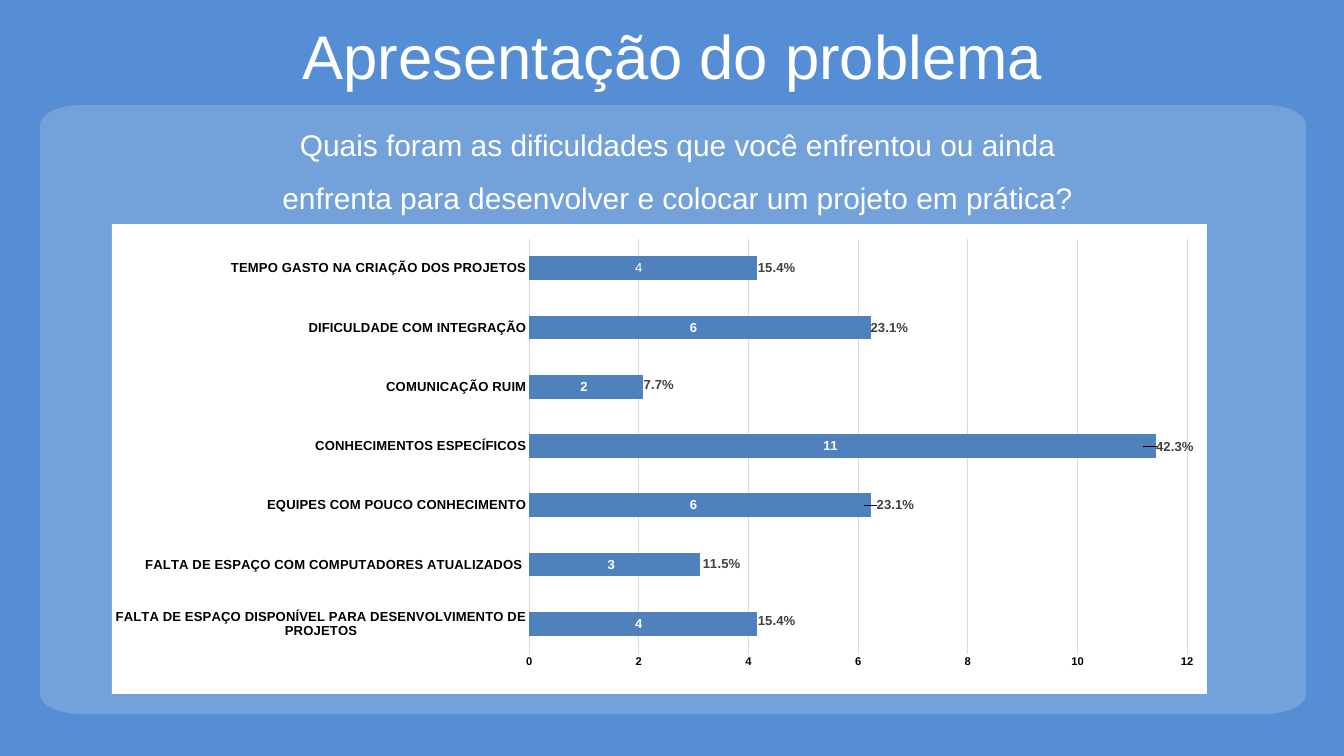
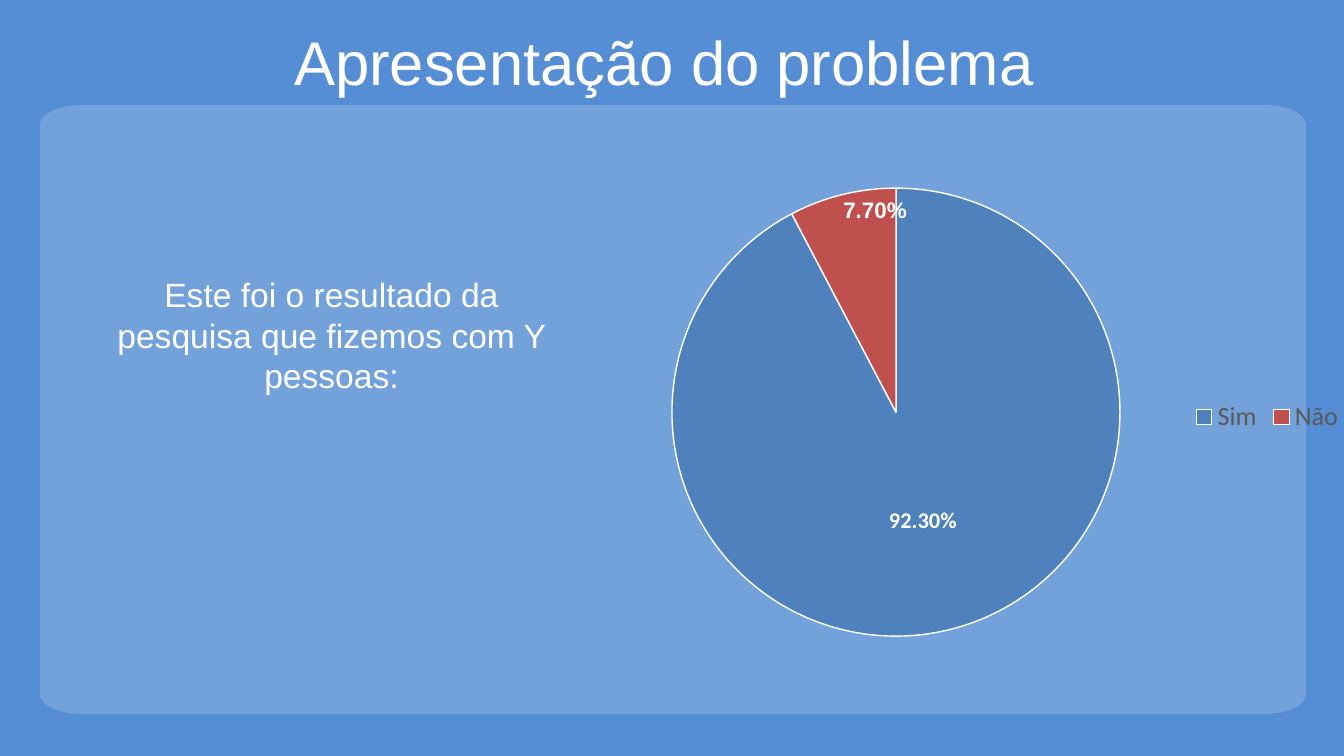
from math import cos, pi, sin

from lxml import etree
from pptx import Presentation
from pptx.chart.data import CategoryChartData
from pptx.dml.color import RGBColor
from pptx.enum.chart import (XL_CHART_TYPE, XL_LABEL_POSITION,
                             XL_LEGEND_POSITION, XL_TICK_MARK)
from pptx.enum.text import MSO_ANCHOR, PP_ALIGN
from pptx.oxml import parse_xml
from pptx.oxml.ns import nsdecls, qn
from pptx.util import Pt

PX = 914400 / 67.2
WIDE, HIGH = 1344, 756

BACK = RGBColor(0x55, 0x8E, 0xD5)
PANEL = RGBColor(0xB9, 0xCD, 0xE5)
WHITE = RGBColor(0xFF, 0xFF, 0xFF)
BLACK = RGBColor(0, 0, 0)
BLUE = RGBColor(0x4F, 0x81, 0xBD)
RED = RGBColor(0xC0, 0x50, 0x4D)
GRID = RGBColor(0xD9, 0xD9, 0xD9)
DARK = RGBColor(0x40, 0x40, 0x40)
GREY = RGBColor(0x59, 0x59, 0x59)

BAR = XL_CHART_TYPE.BAR_STACKED
PIE = XL_CHART_TYPE.PIE
MIDDLE = XL_LABEL_POSITION.CENTER
EDGE = XL_LABEL_POSITION.INSIDE_END
BOTTOM = XL_LEGEND_POSITION.BOTTOM
NO_TICK = XL_TICK_MARK.NONE
CENTER = PP_ALIGN.CENTER
TOP = MSO_ANCHOR.TOP

TITLE = "Apresentação do problema"
# category, answers, share, shift of the share label in px
HURDLES = [
    ("FALTA DE ESPAÇO DISPONÍVEL PARA DESENVOLVIMENTO DE PROJETOS", 4, 0.154, (24, -3)),
    ("FALTA DE ESPAÇO COM COMPUTADORES ATUALIZADOS ", 3, 0.115, (25, -1)),
    ("EQUIPES COM POUCO CONHECIMENTO", 6, 0.231, (31, 0)),
    ("CONHECIMENTOS ESPECÍFICOS", 11, 0.423, (31, 1)),
    ("COMUNICAÇÃO RUIM", 2, 0.077, (18, -2)),
    ("DIFICULDADE COM INTEGRAÇÃO", 6, 0.231, (25, 0)),
    ("TEMPO GASTO NA CRIAÇÃO DOS PROJETOS", 4, 0.154, (24, 0)),
]


def px(*lengths):
    return [round(n * PX) for n in lengths]


def style(font, size, color, bold=False, name="Arial"):
    font.name, font.size, font.bold = name, Pt(size), bold
    font.color.rgb = color


def add_panel(slide):
    """Translucent panel whose corners are flat quarter ellipses."""
    left, top, right, bottom = 40, 105, 1306, 714
    rx, ry, steps = 41, 20, 12
    hubs = [(right - rx, bottom - ry), (left + rx, bottom - ry),
            (left + rx, top + ry), (right - rx, top + ry)]
    points = []
    for turn, (x, y) in enumerate(hubs):
        for step in range(steps + 1):
            angle = (turn + step / steps) * pi / 2
            points.append(px(x + rx * cos(angle), y + ry * sin(angle)))
    outline = slide.shapes.build_freeform(*points[0])
    outline.add_line_segments(points[1:], close=True)
    panel = outline.convert_to_shape()
    panel.shadow.inherit = False
    panel.line.fill.background()
    panel.fill.solid()
    panel.fill.fore_color.rgb = PANEL
    tint = panel.fill._xPr.find(".//" + qn("a:srgbClr"))
    etree.SubElement(tint, qn("a:alpha")).set("val", "30000")


def add_slide(prs, box):
    slide = prs.slides.add_slide(prs.slide_layouts[5])
    title = slide.shapes.title
    title.left, title.top, title.width, title.height = px(*box)
    frame = title.text_frame
    frame.text = TITLE
    frame.margin_left = frame.margin_right = 0
    frame.margin_top = frame.margin_bottom = 0
    frame.vertical_anchor = TOP
    line = frame.paragraphs[0]
    line.alignment = CENTER
    line.line_spacing = Pt(97.5)
    style(line.runs[0].font, 66, WHITE)
    add_panel(slide)
    return slide


def add_text(slide, box, text, size, space=1.0, indent=0):
    frame = slide.shapes.add_textbox(*px(*box)).text_frame
    frame.word_wrap = True
    frame.text = text
    line = frame.paragraphs[0]
    line.alignment = CENTER
    line.line_spacing = space
    line._p.get_or_add_pPr().set("marL", str(px(indent)[0]))
    style(line.runs[0].font, size, WHITE)


def place(node, index, **values):
    """Give a chart part a manual layout as its child at index."""
    for old in node.findall(qn("c:layout")):
        node.remove(old)
    layout = etree.Element(qn("c:layout"))
    manual = etree.SubElement(layout, qn("c:manualLayout"))
    for key, value in values.items():
        etree.SubElement(manual, qn("c:" + key)).set("val", str(value))
    node.insert(index, layout)


def place_plot(chart, x, y, w, h):
    area = chart._chartSpace.find(".//" + qn("c:plotArea"))
    place(area, 0, layoutTarget="inner", xMode="edge", yMode="edge",
          x=x, y=y, w=w, h=h)


def add_chart(slide, kind, box, data, fill):
    chart = slide.shapes.add_chart(kind, *px(*box), data).chart
    chart.has_title = False
    chart.has_legend = False
    style(chart.font, 10, BLACK, name="Calibri")
    paint = (f'<a:solidFill><a:srgbClr val="{fill}"/></a:solidFill>'
             if fill else "<a:noFill/>")
    back = parse_xml(f'<c:spPr {nsdecls("c", "a")}>{paint}'
                     "<a:ln><a:noFill/></a:ln></c:spPr>")
    chart._chartSpace.find(qn("c:chart")).addnext(back)
    return chart


def rule(line):
    line.color.rgb = GRID
    line.width = Pt(0.75)


def style_axis(axis, size):
    axis.major_tick_mark = axis.minor_tick_mark = NO_TICK
    style(axis.tick_labels.font, size, BLACK, True)


def label(series, color, form):
    marks = series.data_labels
    marks.show_value = True
    marks.position = MIDDLE
    marks.number_format = form
    marks.number_format_is_linked = False
    style(marks.font, 14, color, True)


def label_point(point, size, color, bold, name="Arial", spot=MIDDLE):
    mark = point.data_label
    style(mark.font, size, color, bold, name)
    mark.position = spot
    return mark


def add_bars(slide):
    box = (112, 224, 1095, 470)
    names, counts, shares, shifts = zip(*HURDLES)
    data = CategoryChartData()
    data.categories = names
    data.add_series("Series 1", counts)
    data.add_series("Series 2", shares, "0.0%")
    chart = add_chart(slide, BAR, box, data, WHITE)
    place_plot(chart, 0.381, 0.031, 0.601, 0.883)

    style_axis(chart.category_axis, 14)
    rule(chart.category_axis.format.line)
    scale = chart.value_axis
    style_axis(scale, 12)
    scale.minimum_scale, scale.maximum_scale, scale.major_unit = 0, 12, 2
    scale.format.line.fill.background()
    rule(scale.major_gridlines.format.line)

    plot = chart.plots[0]
    plot.gap_width, plot.overlap = 150, 100
    plot.vary_by_categories = False
    count, share = plot.series
    for series in (count, share):
        series.format.fill.solid()
        series.format.fill.fore_color.rgb = BLUE
    label(count, WHITE, "General")
    label(share, DARK, "0.0%")
    label_point(count.points[len(names) - 1], 14, WHITE, False)
    for i, (dx, dy) in enumerate(shifts):
        label_point(share.points[i], 14, DARK, True)
        mark = share.data_labels._element.findall(qn("c:dLbl"))[i]
        place(mark, 1, x=round(dx / box[2], 4), y=round(dy / box[3], 4))


def add_pie(slide):
    data = CategoryChartData(number_format="0.00%")
    data.categories = ["Sim", "Não"]
    data.add_series("Series 1", [0.923, 0.077])
    chart = add_chart(slide, PIE, (375, 153, 1042, 540), data, None)
    place_plot(chart, 0.285, 0.065, 0.43, 0.83)

    chart.has_legend = True
    legend = chart.legend
    legend.position = BOTTOM
    legend.include_in_layout = False
    style(legend.font, 28, GREY, name="Calibri")
    place(legend._element, 1, xMode="edge", yMode="edge", x=0.78, y=0.45)

    series = chart.plots[0].series[0]
    looks = [(BLUE, "Calibri", MIDDLE), (RED, "Arial", EDGE)]
    for i, (color, name, spot) in enumerate(looks):
        slice_ = series.points[i]
        slice_.format.fill.solid()
        slice_.format.fill.fore_color.rgb = color
        slice_.format.line.color.rgb = WHITE
        slice_.format.line.width = Pt(1.5)
        label_point(slice_, 24, WHITE, True, name, spot)


def main():
    prs = Presentation()
    prs.slide_width, prs.slide_height = px(WIDE, HIGH)
    fill = prs.slide_master.background.fill
    fill.solid()
    fill.fore_color.rgb = BACK

    slide = add_slide(prs, (106, 1, 1133, 92))
    add_text(slide, (251, 105, 844, 163),
             "Quais foram as dificuldades que você enfrentou ou ainda enfrenta "
             "para desenvolver e colocar um projeto em prática?", 32, 1.5, 10)
    add_bars(slide)

    slide = add_slide(prs, (129, 7, 1070, 83))
    add_text(slide, (106, 271, 451, 129),
             "Este foi o resultado da pesquisa que fizemos com Y pessoas:", 36)
    add_pie(slide)

    prs.save("out.pptx")


if __name__ == "__main__":
    main()
